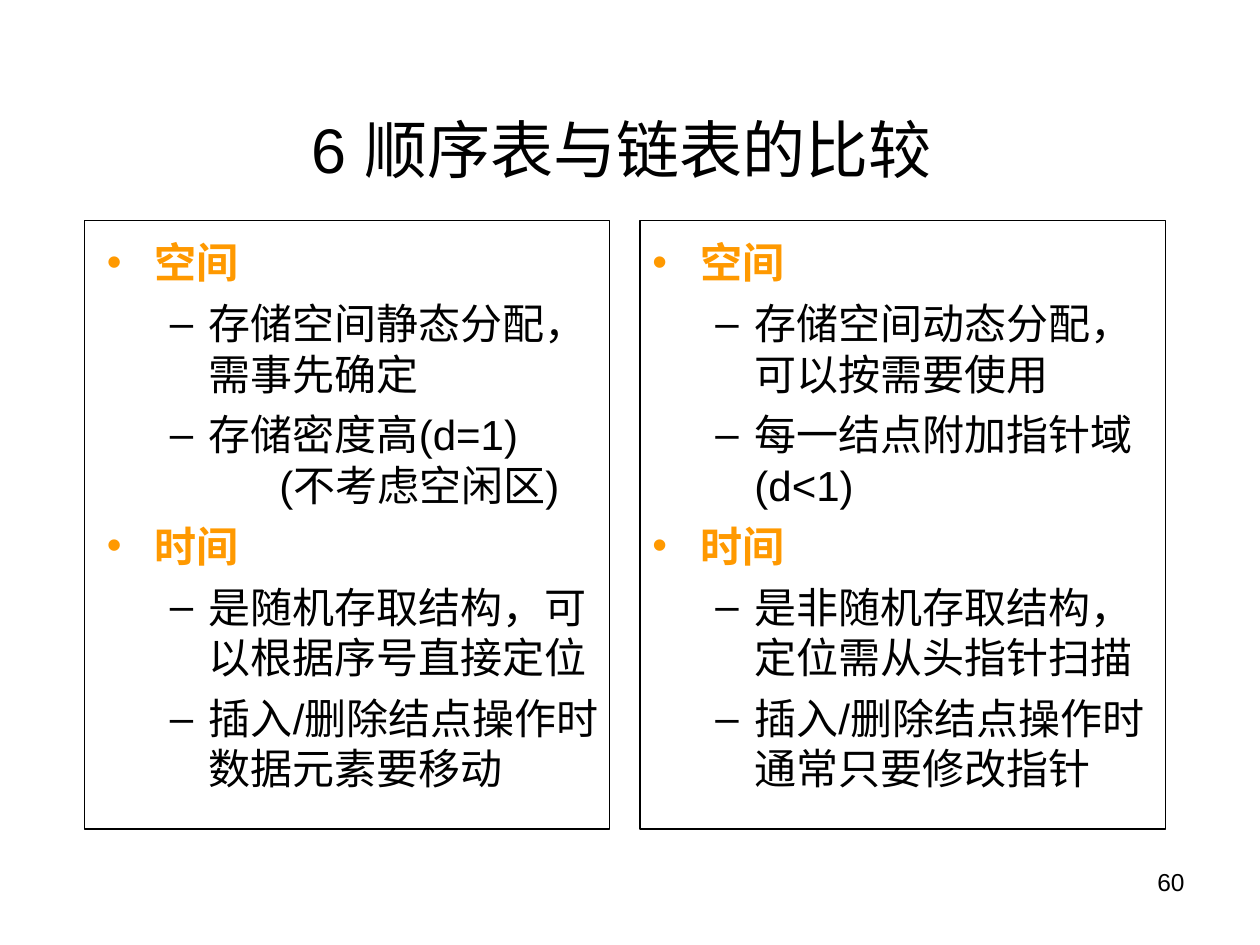
from lxml import etree
from pptx import Presentation
from pptx.dml.color import RGBColor
from pptx.enum.shapes import MSO_SHAPE as Shape
from pptx.enum.text import MSO_ANCHOR as Anchor, PP_ALIGN as Align
from pptx.oxml.ns import qn
from pptx.util import Inches, Pt

COLORS = {"text": "000000", "heading": "FF9900", "frame": "000000"}
FONT = "Arial"
COLUMN_TOP, COLUMN_WIDTH, COLUMN_HEIGHT = 1.75, 4.17, 4.83
TEXT_DROP = 0.08

# kind: (level, left margin, first-line indent, space before, bullet, color, bold)
STYLES = {
    "heading": (0, 0.38, -0.38, 6, "•", "heading", True),
    "point": (1, 0.81, -0.31, 6, "–", "text", False),
    "remark": (1, 1.37, 0, 0, None, "text", False),
}

SEQUENTIAL_LIST = [
    ("heading", "空间"),
    ("point", "存储空间静态分配，需事先确定"),
    ("point", "存储密度高(d=1)"),
    ("remark", "(不考虑空闲区)"),
    ("heading", "时间"),
    ("point", "是随机存取结构，可以根据序号直接定位"),
    ("point", "插入/删除结点操作时数据元素要移动"),
]
LINKED_LIST = [
    ("heading", "空间"),
    ("point", "存储空间动态分配，可以按需要使用"),
    ("point", "每一结点附加指针域(d<1)"),
    ("heading", "时间"),
    ("point", "是非随机存取结构，定位需从头指针扫描"),
    ("point", "插入/删除结点操作时通常只要修改指针"),
]


def color(name):
    """Return the named palette color."""
    return RGBColor.from_string(COLORS[name])


def format_font(font, size, color_name="text", bold=False):
    """Apply the slide's typeface with a size, color and weight."""
    font.name, font.size, font.bold = FONT, Pt(size), bold
    font.color.rgb = color(color_name)


def set_indent(paragraph, margin, indent, bullet):
    """Set a paragraph's margins and its bullet, if it has one."""
    properties = paragraph._p.get_or_add_pPr()
    properties.set("marL", str(Inches(margin)))
    properties.set("indent", str(Inches(indent)))
    if bullet:
        etree.SubElement(properties, qn("a:buFont"), typeface=FONT)
        etree.SubElement(properties, qn("a:buChar"), char=bullet)
    else:
        etree.SubElement(properties, qn("a:buNone"))


def add_title(slide, left, top, width, height):
    """Place the centred title at the bottom of its box."""
    title = slide.shapes.title
    title.left, title.top = Inches(left), Inches(top)
    title.width, title.height = Inches(width), Inches(height)
    title.text_frame.vertical_anchor = Anchor.BOTTOM
    paragraph = title.text_frame.paragraphs[0]
    paragraph.text = "6 顺序表与链表的比较"
    paragraph.alignment = Align.CENTER
    format_font(paragraph.runs[0].font, 36)
    space = paragraph.add_run()
    space.text = " "
    format_font(space.font, 44)


def add_text(slide, left, top, width, height):
    """Add a wrapping text box and return its text frame."""
    box = slide.shapes.add_textbox(
        Inches(left), Inches(top), Inches(width), Inches(height))
    box.text_frame.word_wrap = True
    return box.text_frame


def add_outline(slide, left, top, width, height, items):
    """Fill a box with headings, points and remarks."""
    text_frame = add_text(slide, left, top, width, height)
    text_frame.text = "\n".join(text for _, text in items)
    for paragraph, (kind, _) in zip(text_frame.paragraphs, items):
        level, margin, indent, before, bullet, color_name, bold = STYLES[kind]
        paragraph.level = level
        paragraph.space_before = Pt(before)
        set_indent(paragraph, margin, indent, bullet)
        format_font(paragraph.runs[0].font, 24, color_name, bold)


def add_frame(slide, left, top, width, height):
    """Draw the thin outline around a column."""
    frame = slide.shapes.add_shape(
        Shape.RECTANGLE, Inches(left), Inches(top), Inches(width), Inches(height))
    frame.shadow.inherit = False
    frame.fill.background()
    frame.line.color.rgb = color("frame")
    frame.line.width = Pt(0.75)


def add_page_number(slide, left, top, width, height):
    """Place the right-aligned page number."""
    paragraph = add_text(slide, left, top, width, height).paragraphs[0]
    paragraph.text = "60"
    paragraph.alignment = Align.RIGHT
    format_font(paragraph.runs[0].font, 14)


def main():
    """Build and save the slide."""
    presentation = Presentation()
    presentation.slide_width, presentation.slide_height = Inches(10), Inches(7.5)
    slide = presentation.slides.add_slide(presentation.slide_layouts[5])
    add_title(slide, 0.5, 0.3, 9, 1.25)
    columns = [(0.67, 0.75, SEQUENTIAL_LIST), (5.08, 5.08, LINKED_LIST)]
    for frame_left, text_left, items in columns:
        add_outline(slide, text_left, COLUMN_TOP + TEXT_DROP,
                    COLUMN_WIDTH, COLUMN_HEIGHT, items)
        add_frame(slide, frame_left, COLUMN_TOP, COLUMN_WIDTH, COLUMN_HEIGHT)
    add_page_number(slide, 7.17, 6.83, 2.33, 0.52)
    presentation.save("out.pptx")


if __name__ == "__main__":
    main()
